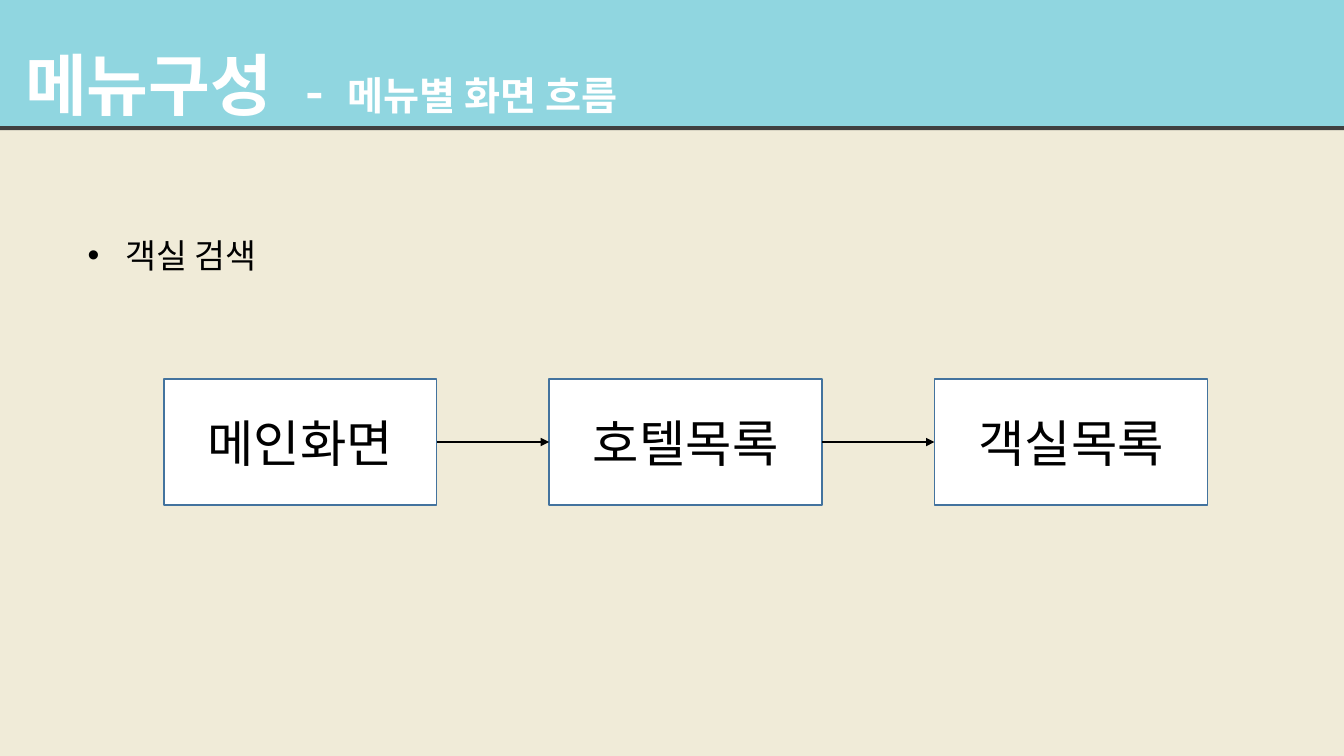
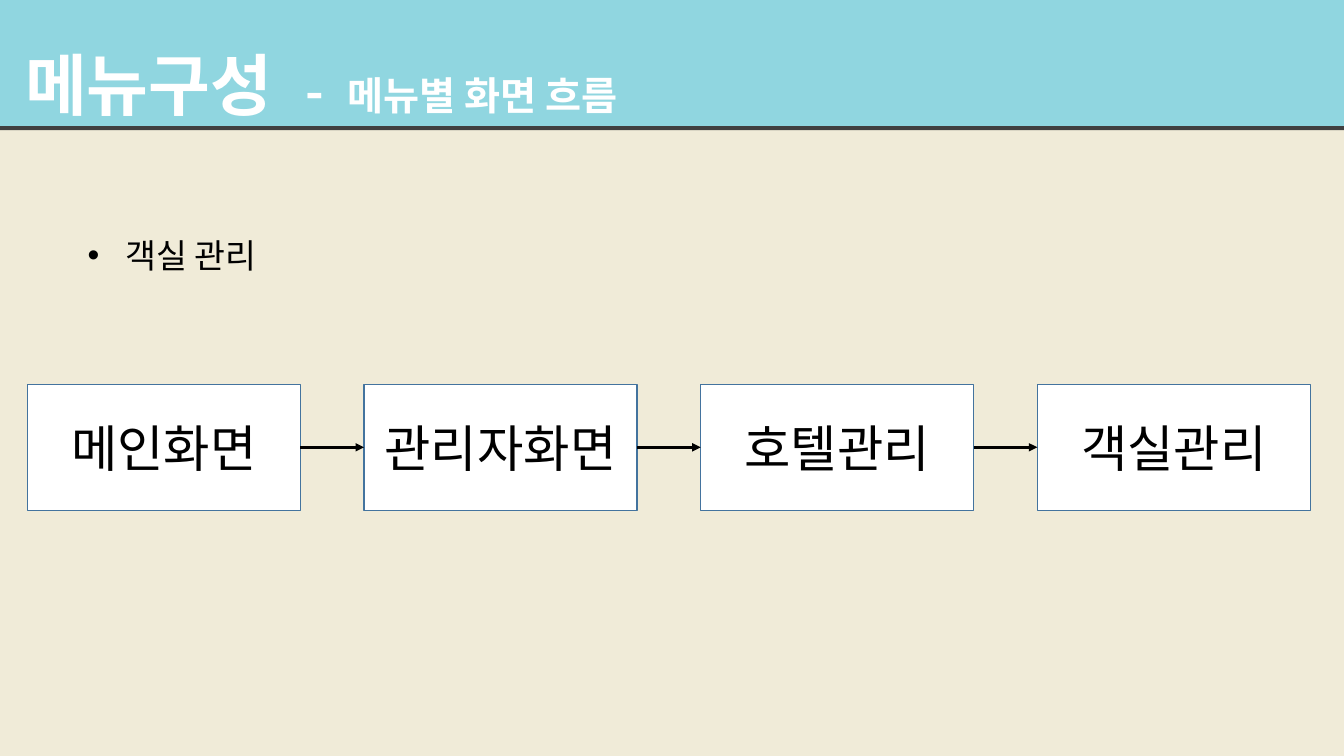
from dataclasses import dataclass
from itertools import pairwise

from lxml import etree
from pptx import Presentation
from pptx.dml.color import RGBColor
from pptx.enum.shapes import MSO_CONNECTOR, MSO_SHAPE
from pptx.enum.text import MSO_ANCHOR, MSO_AUTO_SIZE, PP_ALIGN
from pptx.oxml.ns import qn
from pptx.util import Emu, Pt

RECT = MSO_SHAPE.RECTANGLE
STRAIGHT = MSO_CONNECTOR.STRAIGHT
MIDDLE = MSO_ANCHOR.MIDDLE
CENTER = PP_ALIGN.CENTER
GROW = MSO_AUTO_SIZE.SHAPE_TO_FIT_TEXT
RIGHT, LEFT = 3, 1
PX = 9525


@dataclass(frozen=True)
class Theme:
    """Colours, font and type sizes shared by the slides."""
    font: str = "Noto Sans CJK KR"
    page: str = "F0EBD8"
    band: str = "90D6E0"
    shade: str = "404040"
    white: str = "FFFFFF"
    ink: str = "000000"
    edge: str = "43739E"
    title: int = 48
    dash: int = 36
    sub: int = 28
    topic: int = 24
    step: int = 36


THEME = Theme()
WIDE, HIGH = 1280, 720
BAND = (0, 0, WIDE, 120)
TOPIC = (74, 219, 353, 48)
STEP = 260
HEAD = (("메뉴구성\t", THEME.title), ("-\t", THEME.dash),
        ("메뉴별 화면 흐름", THEME.sub))
STOPS = (267, 307)
PAGES = (
    ("객실 검색", (156, 361, 994, 120), ("메인화면", "호텔목록", "객실목록")),
    ("객실 관리", (26, 366, 1222, 120),
     ("메인화면", "관리자화면", "호텔관리", "객실관리")),
)


def px(*vals):
    """Turn px lengths into EMU."""
    return [Emu(round(val * PX)) for val in vals]


def rgb(code):
    """Turn a hex code into a colour."""
    return RGBColor.from_string(code)


def add(node, tag, **attrs):
    """Append an XML child with the given attributes."""
    child = etree.SubElement(node, qn(tag))
    for key, val in attrs.items():
        child.set(key, str(val))
    return child


def style(para, color, size=None, bold=False):
    """Set the font of a whole paragraph."""
    font = para.font
    font.name, font.bold = THEME.font, bold
    font.color.rgb = rgb(color)
    if size:
        font.size = Pt(size)
    add(font._element, "a:ea", typeface=THEME.font)


def block(slide, box, fill):
    """Draw a plain filled rectangle with its text in the middle."""
    shape = slide.shapes.add_shape(RECT, *px(*box))
    shape.shadow.inherit = False
    shape.fill.solid()
    shape.fill.fore_color.rgb = rgb(fill)
    shape.line.fill.background()
    shape.text_frame.word_wrap = True
    shape.text_frame.vertical_anchor = MIDDLE
    return shape


def header(slide, box):
    """Draw the title band with its hard shadow."""
    shape = block(slide, box, THEME.band)
    effect = shape._element.spPr.find(qn("a:effectLst"))
    shadow = add(effect, "a:outerShdw", blurRad=0, dist=Pt(3), dir=5400000,
                 algn="t", rotWithShape=0)
    add(shadow, "a:srgbClr", val=THEME.shade)
    frame = shape.text_frame
    frame.margin_left, = px(24)
    para = frame.paragraphs[0]
    para.alignment = PP_ALIGN.LEFT
    para.line_spacing = 1.5
    tabs = add(para._p.get_or_add_pPr(), "a:tabLst")
    for stop in px(*STOPS):
        add(tabs, "a:tab", pos=stop, algn="l")
    style(para, THEME.white, bold=True)
    for text, size in HEAD:
        run = para.add_run()
        run.text = text
        run.font.size = Pt(size)


def topic(slide, box, text):
    """Write the bulleted topic line."""
    frame = slide.shapes.add_textbox(*px(*box)).text_frame
    frame.word_wrap = True
    frame.auto_size = GROW
    para = frame.paragraphs[0]
    para.text = text
    props = para._p.get_or_add_pPr()
    indent, = px(36)
    props.set("marL", str(indent))
    props.set("indent", str(-indent))
    add(props, "a:buFont", typeface="Arial")
    add(props, "a:buChar", char="•")
    style(para, THEME.ink, THEME.topic)


def step(slide, box, text):
    """Draw one screen of the flow."""
    shape = block(slide, box, THEME.white)
    shape.line.color.rgb = rgb(THEME.edge)
    shape.line.width = Pt(1)
    para = shape.text_frame.paragraphs[0]
    para.text = text
    para.alignment = CENTER
    style(para, THEME.ink, THEME.step)
    return shape


def arrow(slide, start, end):
    """Join two screens with an arrow."""
    link = slide.shapes.add_connector(STRAIGHT, 0, 0, 0, 0)
    link.begin_connect(start, RIGHT)
    link.end_connect(end, LEFT)
    link.line.color.rgb = rgb(THEME.ink)
    link.line.width = Pt(2)
    add(link.line._get_or_add_ln(), "a:tailEnd", type="triangle")
    add(link._element.spPr, "a:effectLst")


def flow(slide, box, names):
    """Spread the screens evenly over a box and join them."""
    left, top, width, height = box
    pitch = (width - STEP) / (len(names) - 1)
    steps = [step(slide, (left + i * pitch, top, STEP, height), name)
             for i, name in enumerate(names)]
    for start, end in pairwise(steps):
        arrow(slide, start, end)


def page(deck, title, box, names):
    """Build one menu flow slide."""
    slide = deck.slides.add_slide(deck.slide_layouts[6])
    slide.background.fill.solid()
    slide.background.fill.fore_color.rgb = rgb(THEME.page)
    topic(slide, TOPIC, title)
    flow(slide, box, names)
    header(slide, BAND)


def main():
    """Build and save the deck."""
    deck = Presentation()
    deck.slide_width, deck.slide_height = px(WIDE, HIGH)
    for title, box, names in PAGES:
        page(deck, title, box, names)
    deck.save("out.pptx")


if __name__ == "__main__":
    main()
